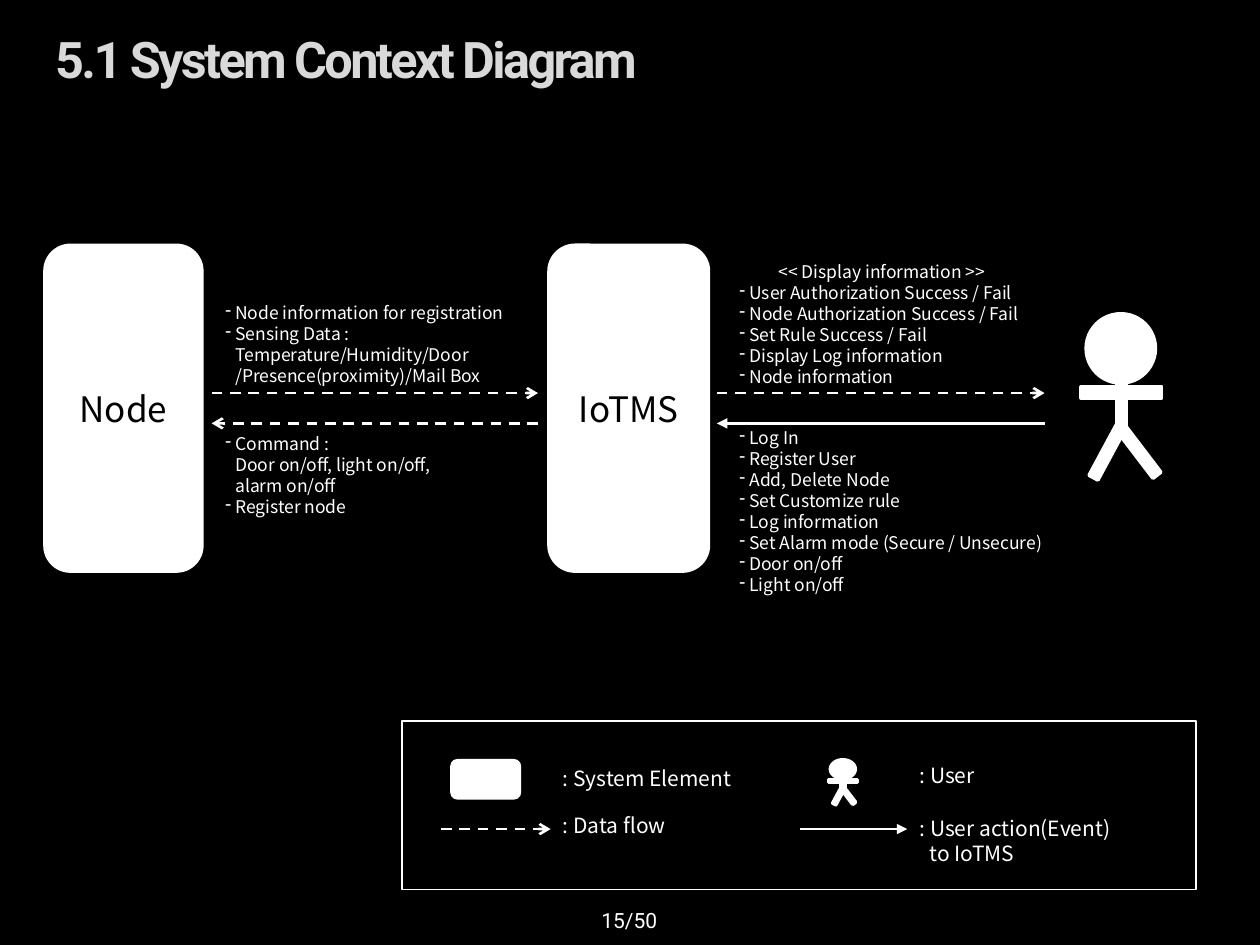
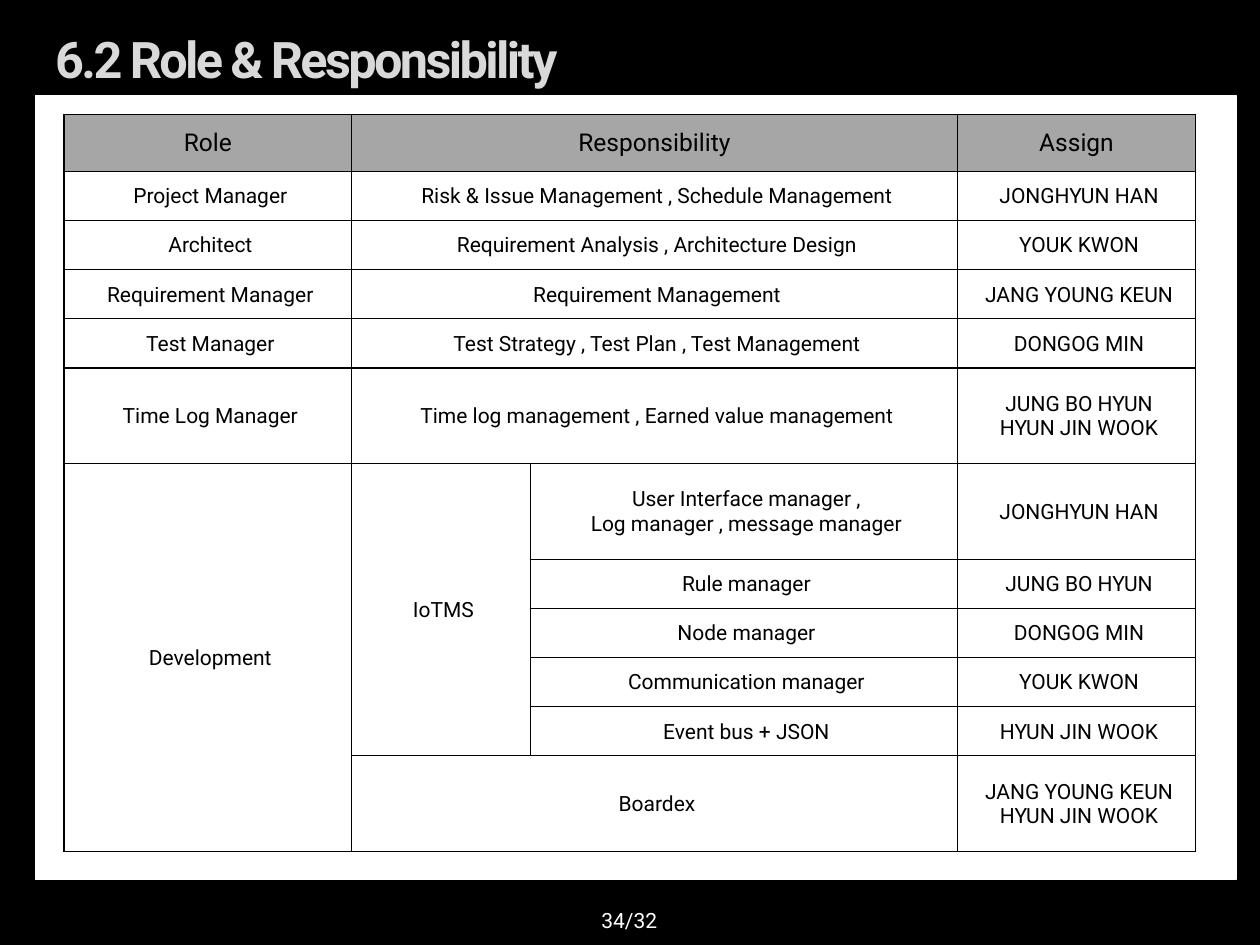
from lxml import etree
from pptx import Presentation
from pptx.dml.color import RGBColor
from pptx.enum.dml import MSO_LINE
from pptx.enum.shapes import MSO_CONNECTOR, MSO_SHAPE as SHAPE
from pptx.enum.text import MSO_ANCHOR as ANCHOR, MSO_AUTO_SIZE as AUTO, PP_ALIGN as ALIGN
from pptx.oxml.ns import qn
from pptx.util import Inches, Pt

# ---- Content ----
COLORS = {"black": "000000", "white": "FFFFFF", "title": "D9D9D9", "header": "A6A6A6"}
SANS, KOREAN = "Roboto", "Noto Sans CJK KR"
TITLE = {"name": SANS, "size": Pt(28.8), "bold": True, "color": "title"}
FOOTER = {"name": SANS, "size": Pt(12), "color": "white"}
ELEMENT = {"name": KOREAN, "size": Pt(20), "color": "black"}
FLOW = {"name": KOREAN, "size": Pt(10), "color": "white"}
KEY = {"name": KOREAN, "size": Pt(12), "color": "white"}
HEAD = {"name": SANS, "size": Pt(14), "color": "black"}
BODY = {"name": SANS, "size": Pt(12), "color": "black"}

ELEMENTS = [("IoTMS", (4.35, 1.94, 1.28, 2.6)), ("Node", (0.35, 1.94, 1.26, 2.6))]

# from, to, is a data flow (dashed) rather than a user action (solid)
ARROWS = [
    ((1.68, 3.12), (4.27, 3.12), True),
    ((4.27, 3.36), (1.68, 3.36), True),
    ((5.69, 3.12), (8.29, 3.12), True),
    ((8.29, 3.36), (5.69, 3.36), False),
    ((3.5, 6.58), (4.37, 6.58), True),
    ((6.35, 6.58), (7.2, 6.58), False),
]

# "- " starts a bullet, ": " a hanging legend entry
FLOW_TEXTS = [
    ((1.69, 2.35, 2.83, 0.77), [
        "- Node information for registration",
        "- Sensing Data :\nTemperature/Humidity/Door\n/Presence(proximity)/Mail Box"]),
    ((1.69, 3.39, 2.44, 0.77), [
        "- Command :\nDoor on/off, light on/off,\nalarm on/off",
        "- Register node"]),
    ((5.77, 2.02, 2.46, 1.11), [
        "<< Display information >>",
        "- User Authorization Success / Fail",
        "- Node Authorization Success / Fail",
        "- Set Rule Success / Fail",
        "- Display Log information",
        "- Node information"]),
    ((5.77, 3.34, 2.7, 1.45), [
        "- Log In",
        "- Register User",
        "- Add, Delete Node",
        "- Set Customize rule",
        "- Log information",
        "- Set Alarm mode (Secure / Unsecure)",
        "- Door on/off",
        "- Light on/off"]),
]
KEY_TEXTS = [
    ((4.37, 6.03, 1.57, 0.3), [": System Element"]),
    ((4.37, 6.4, 1.57, 0.3), [": Data flow"]),
    ((7.2, 6, 1.57, 0.3), [": User"]),
    ((7.2, 6.42, 2.05, 0.5), [": User action(Event)\nto IoTMS"]),
]

# Stick figure parts, relative to the top left of the head
FIGURE = [
    (SHAPE.OVAL, (0, 0, 0.55, 0.55), 0),
    (SHAPE.RECTANGLE, (0.24, 0.55, 0.08, 0.39), 0),
    (SHAPE.RECTANGLE, (-0.04, 0.58, 0.64, 0.09), 0),
    (SHAPE.RECTANGLE, (0.13, 0.86, 0.08, 0.47), 28.3),
    (SHAPE.RECTANGLE, (0.38, 0.86, 0.08, 0.47), 322.7),
]

COLUMNS = [2.28, 1.42, 3.39, 1.89]
ROW, TALL_ROW, HEAD_ROW = 0.39, 0.76, 0.45
# role, area, module, assignee; None continues the cell to the left or above
ROLES = [
    ("Role", "Responsibility", None, "Assign"),
    ("Project Manager", "Risk & Issue Management , Schedule Management", None, "JONGHYUN HAN"),
    ("Architect", "Requirement Analysis , Architecture Design", None, "YOUK KWON"),
    ("Requirement Manager", "Requirement Management", None, "JANG YOUNG KEUN"),
    ("Test Manager", "Test Strategy , Test Plan , Test Management", None, "DONGOG MIN"),
    ("Time Log Manager", "Time log management , Earned value management", None,
     "JUNG BO HYUN\nHYUN JIN WOOK"),
    ("Development", "IoTMS", "User Interface manager ,\nLog manager , message manager",
     "JONGHYUN HAN"),
    (None, None, "Rule manager", "JUNG BO HYUN"),
    (None, None, "Node manager", "DONGOG MIN"),
    (None, None, "Communication manager", "YOUK KWON"),
    (None, None, "Event bus + JSON", "HYUN JIN WOOK"),
    (None, "Boardex", None, "JANG YOUNG KEUN\nHYUN JIN WOOK"),
]


# ---- Helpers ----
def color(name):
    return RGBColor.from_string(COLORS[name])


def inches(box):
    return [Inches(v) for v in box]


def style(p, fmt):
    for r in p.runs:
        for key, value in fmt.items():
            if key == "color":
                r.font.color.rgb = color(value)
            else:
                setattr(r.font, key, value)


def write(tf, lines, fmt, align=ALIGN.CENTER):
    for i, line in enumerate(lines):
        p = tf.add_paragraph() if i else tf.paragraphs[0]
        p.text = line
        p.alignment = align
        style(p, fmt)


def add_text(slide, box, lines, fmt, align=ALIGN.LEFT, anchor=ANCHOR.MIDDLE):
    tf = slide.shapes.add_textbox(*inches(box)).text_frame
    tf.word_wrap = True
    tf.vertical_anchor = anchor
    write(tf, lines, fmt, align)
    return tf


def add_list(slide, box, lines, fmt):
    """Top-anchored text with hanging bullets or legend entries."""
    tf = add_text(slide, box, [t.removeprefix("- ") for t in lines], fmt, anchor=ANCHOR.TOP)
    tf.auto_size = AUTO.SHAPE_TO_FIT_TEXT
    for p, line in zip(tf.paragraphs, lines):
        p.line_spacing = Pt(fmt["size"].pt * 1.2)
        if line.startswith(("- ", ": ")):
            hang = Inches(0.08)
            pPr = p._p.get_or_add_pPr()
            pPr.set("marL", str(hang))
            pPr.set("indent", str(-hang))
            if line.startswith("- "):
                etree.SubElement(pPr, qn("a:buChar"), char="-")
        else:
            p.alignment = ALIGN.CENTER


def add_box(shapes, kind, box, fill="white", width=1):
    s = shapes.add_shape(kind, *inches(box))
    s.shadow.inherit = False
    s.fill.solid()
    s.fill.fore_color.rgb = color(fill)
    s.line.color.rgb = color("white")
    s.line.width = Pt(width)
    return s


def add_arrow(slide, start, end, data_flow):
    c = slide.shapes.add_connector(MSO_CONNECTOR.STRAIGHT, *inches(start + end))
    c.line.color.rgb = color("white")
    c.line.width = Pt(1.5)
    if data_flow:
        c.line.dash_style = MSO_LINE.DASH
    etree.SubElement(c.line._get_or_add_ln(), qn("a:tailEnd"),
                     type="arrow" if data_flow else "triangle")
    etree.SubElement(c._element.spPr, qn("a:effectLst"))


def add_figure(shapes, left, top, sx=1, sy=1):
    for kind, (x, y, w, h), angle in FIGURE:
        s = add_box(shapes, kind, (left + x * sx, top + y * sy, w * sx, h * sy), width=2)
        s.rotation = angle


def add_borders(cell):
    tcPr = cell._tc.get_or_add_tcPr()
    for i, side in enumerate(("lnL", "lnR", "lnT", "lnB")):
        ln = etree.Element(qn("a:" + side), w=str(Pt(1)))
        fill = etree.SubElement(ln, qn("a:solidFill"))
        etree.SubElement(fill, qn("a:srgbClr"), val=COLORS["black"])
        tcPr.insert(i, ln)


def new_slide(title, page, panel=None):
    slide = prs.slides.add_slide(prs.slide_layouts[6])
    slide.background.fill.solid()
    slide.background.fill.fore_color.rgb = color("black")
    if panel:
        add_box(slide.shapes, SHAPE.RECTANGLE, panel, width=0.75)
    tf = add_text(slide, (0.34, 0.21, 9.14, 0.51), [title], TITLE)
    for r in tf.paragraphs[0].runs:
        r._r.get_or_add_rPr().set("spc", "-150")
    add_text(slide, (3.83, 7.1, 2.33, 0.4), [page], FOOTER, ALIGN.CENTER)
    return slide


prs = Presentation()
prs.slide_width, prs.slide_height = Inches(10), Inches(7.5)

# ---- System context diagram ----
slide = new_slide("5.1 System Context Diagram", "15/50")
for name, box in ELEMENTS:
    s = add_box(slide.shapes, SHAPE.ROUNDED_RECTANGLE, box)
    s.text_frame.vertical_anchor = ANCHOR.MIDDLE
    write(s.text_frame, [name], ELEMENT)

# Legend frame and element sample
add_box(slide.shapes, SHAPE.RECTANGLE, (3.19, 5.72, 6.3, 1.34), fill="black")
add_box(slide.shapes, SHAPE.ROUNDED_RECTANGLE, (3.58, 6.03, 0.55, 0.31))

for arrow in ARROWS:
    add_arrow(slide, *arrow)
for texts, fmt in ((FLOW_TEXTS, FLOW), (KEY_TEXTS, KEY)):
    for box, lines in texts:
        add_list(slide, box, lines, fmt)

# User, and the small user of the legend
add_figure(slide.shapes, 8.62, 2.49)
add_figure(slide.shapes.add_group_shape().shapes, 6.59, 6.03, 0.36, 0.27)

# ---- Roles table ----
slide = new_slide("6.2 Role & Responsibility", "34/32", panel=(0.28, 0.76, 9.53, 6.22))
heights = [HEAD_ROW] + [TALL_ROW if any("\n" in (t or "") for t in row) else ROW
                        for row in ROLES[1:]]
frame = slide.shapes.add_table(len(ROLES), len(COLUMNS),
                               *inches((0.51, 0.91, sum(COLUMNS), sum(heights))))
table = frame.table
for col, width in zip(table.columns, COLUMNS):
    col.width = Inches(width)
for row, height in zip(table.rows, heights):
    row.height = Inches(height)

for i, texts in enumerate(ROLES):
    header = i == 0
    margins = dict(zip(("margin_left", "margin_top", "margin_right", "margin_bottom"),
                       inches((0.01, 0.01, 0.01, 0) if header else (0.08, 0.01, 0.04, 0))))
    for j, text in enumerate(texts):
        cell = table.cell(i, j)
        cell.fill.solid()
        cell.fill.fore_color.rgb = color("header" if header else "white")
        cell.vertical_anchor = ANCHOR.MIDDLE
        for key, value in margins.items():
            setattr(cell, key, value)
        add_borders(cell)
        if text:
            write(cell.text_frame, text.split("\n"), HEAD if header else BODY)
    if texts[2] is None:
        table.cell(i, 1).merge(table.cell(i, 2))

# Role and area cells run down over the development rows
first = next(i for i, texts in enumerate(ROLES) if texts[0] == "Development")
last = len(ROLES) - 1
table.cell(first, 0).merge(table.cell(last, 0))
table.cell(first, 1).merge(table.cell(last - 1, 1))

prs.save("out.pptx")
